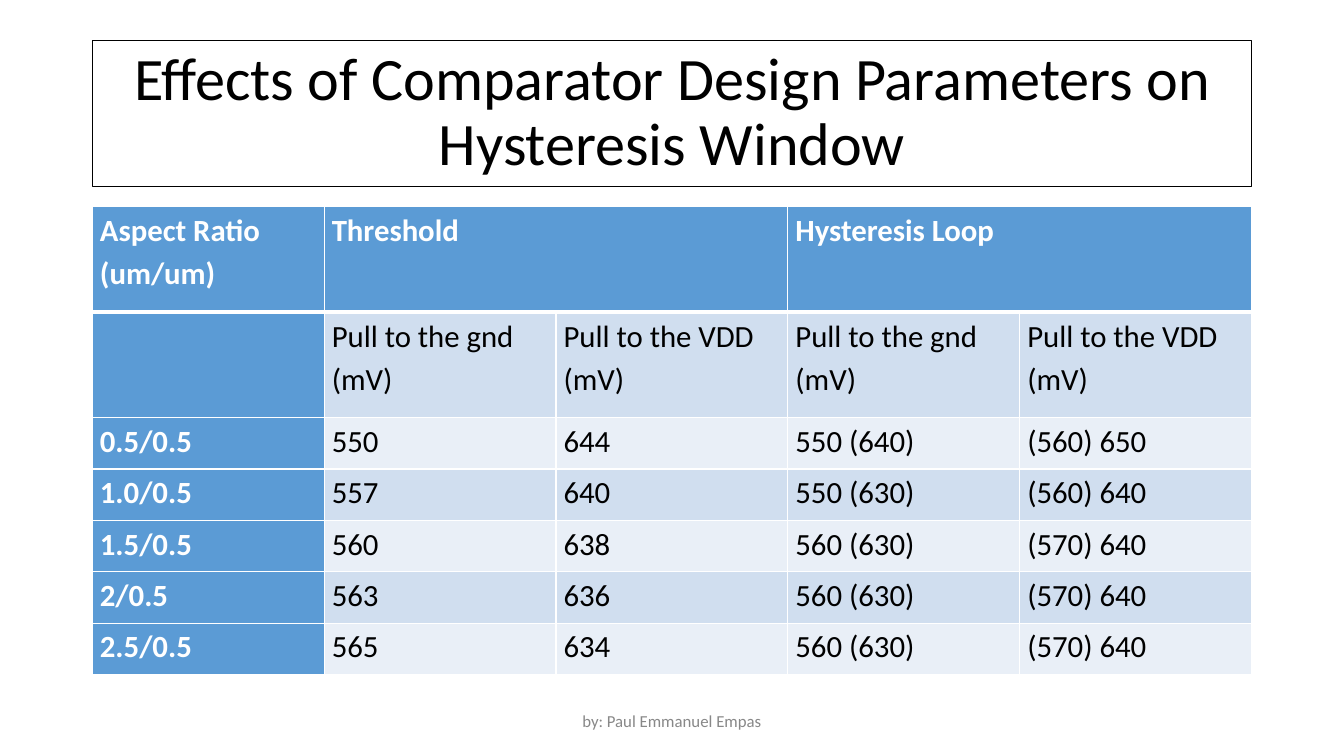
"""Build a slide with a table of comparator hysteresis results."""
from lxml.etree import SubElement
from pptx import Presentation
from pptx.dml.color import RGBColor
from pptx.enum.shapes import MSO_SHAPE
from pptx.enum.text import MSO_ANCHOR, PP_ALIGN
from pptx.oxml.ns import qn
from pptx.util import Pt

TITLE = "Effects of Comparator Design Parameters on Hysteresis Window"
FOOTER = "by: Paul Emmanuel Empas"
ROWS = [
    ("Aspect Ratio (um/um)", "Threshold", "", "Hysteresis Loop", ""),
    ("", "Pull to the gnd (mV)", "Pull to the VDD (mV)",
     "Pull to the gnd (mV)", "Pull to the VDD (mV)"),
    ("0.5/0.5", "550", "644", "550 (640)", "(560) 650"),
    ("1.0/0.5", "557", "640", "550 (630)", "(560) 640"),
    ("1.5/0.5", "560", "638", "560 (630)", "(570) 640"),
    ("2/0.5", "563", "636", "560 (630)", "(570) 640"),
    ("2.5/0.5", "565", "634", "560 (630)", "(570) 640"),
]
HEADER_SPANS = [(1, 2), (3, 4)]

FONT = "Calibri"
BLACK = RGBColor(0x00, 0x00, 0x00)
WHITE = RGBColor(0xFF, 0xFF, 0xFF)
GREY = RGBColor(0x88, 0x88, 0x88)
BLUE = RGBColor(0x5B, 0x9B, 0xD5)
BANDS = [RGBColor(0xE9, 0xEF, 0xF7), RGBColor(0xD0, 0xDE, 0xEF)]

LEFT, WIDTH = 66, 828
TABLE_TOP = 147.6
COLUMN_WIDTH = WIDTH / len(ROWS[0])
ROW_HEIGHTS = [75.4, 75.4] + [36.7] * (len(ROWS) - 2)
THIN, THICK = 1, 3


def write(text_frame, text, size, color, spacing, bold=False, align=None):
    paragraph = text_frame.paragraphs[0]
    paragraph.alignment = align
    paragraph.line_spacing = spacing
    run = paragraph.add_run()
    run.text = text
    run.font.name = FONT
    run.font.size = Pt(size)
    run.font.bold = bold
    run.font.color.rgb = color


def set_borders(cell, top, bottom):
    properties = cell._tc.get_or_add_tcPr()
    for side, width in (("L", THIN), ("R", THIN), ("T", top), ("B", bottom)):
        line = SubElement(properties, qn(f"a:ln{side}"), w=str(Pt(width)))
        fill = SubElement(line, qn("a:solidFill"))
        SubElement(fill, qn("a:srgbClr"), val=str(WHITE))


def add_title(slide):
    shape = slide.shapes.add_shape(
        MSO_SHAPE.RECTANGLE, Pt(LEFT), Pt(28.8), Pt(WIDTH), Pt(104.4))
    shape.shadow.inherit = False
    shape.fill.background()
    shape.line.color.rgb = BLACK
    shape.line.width = Pt(0.75)
    shape.text_frame.word_wrap = True
    shape.text_frame.vertical_anchor = MSO_ANCHOR.MIDDLE
    write(shape.text_frame, TITLE, 43, BLACK, 0.9, align=PP_ALIGN.CENTER)


def add_footer(slide):
    box = slide.shapes.add_textbox(Pt(318), Pt(500.5), Pt(324), Pt(28.8))
    box.text_frame.word_wrap = True
    box.text_frame.vertical_anchor = MSO_ANCHOR.MIDDLE
    write(box.text_frame, FOOTER, 12, GREY, 1.0, align=PP_ALIGN.CENTER)


def add_results_table(slide):
    table = slide.shapes.add_table(
        len(ROWS), len(ROWS[0]), Pt(LEFT), Pt(TABLE_TOP),
        Pt(WIDTH), Pt(sum(ROW_HEIGHTS))).table
    table.first_col = True
    for column in table.columns:
        column.width = Pt(COLUMN_WIDTH)
    for first, last in HEADER_SPANS:
        table.cell(0, first).merge(table.cell(0, last))
    for row_index, (values, height) in enumerate(zip(ROWS, ROW_HEIGHTS)):
        table.rows[row_index].height = Pt(height)
        for column_index, value in enumerate(values):
            cell = table.cell(row_index, column_index)
            heading = row_index == 0 or column_index == 0
            cell.margin_left = cell.margin_right = Pt(5.4)
            cell.margin_top = cell.margin_bottom = Pt(0)
            set_borders(cell, THICK if row_index == 1 else THIN,
                        THICK if row_index == 0 else THIN)
            cell.fill.solid()
            cell.fill.fore_color.rgb = BLUE if heading else BANDS[row_index % 2]
            if value:
                write(cell.text_frame, value, 22,
                      WHITE if heading else BLACK, 1.15, bold=heading)


def main():
    presentation = Presentation()
    presentation.slide_width, presentation.slide_height = Pt(960), Pt(540)
    slide = presentation.slides.add_slide(presentation.slide_layouts[6])
    add_title(slide)
    add_footer(slide)
    add_results_table(slide)
    presentation.save("out.pptx")


if __name__ == "__main__":
    main()
